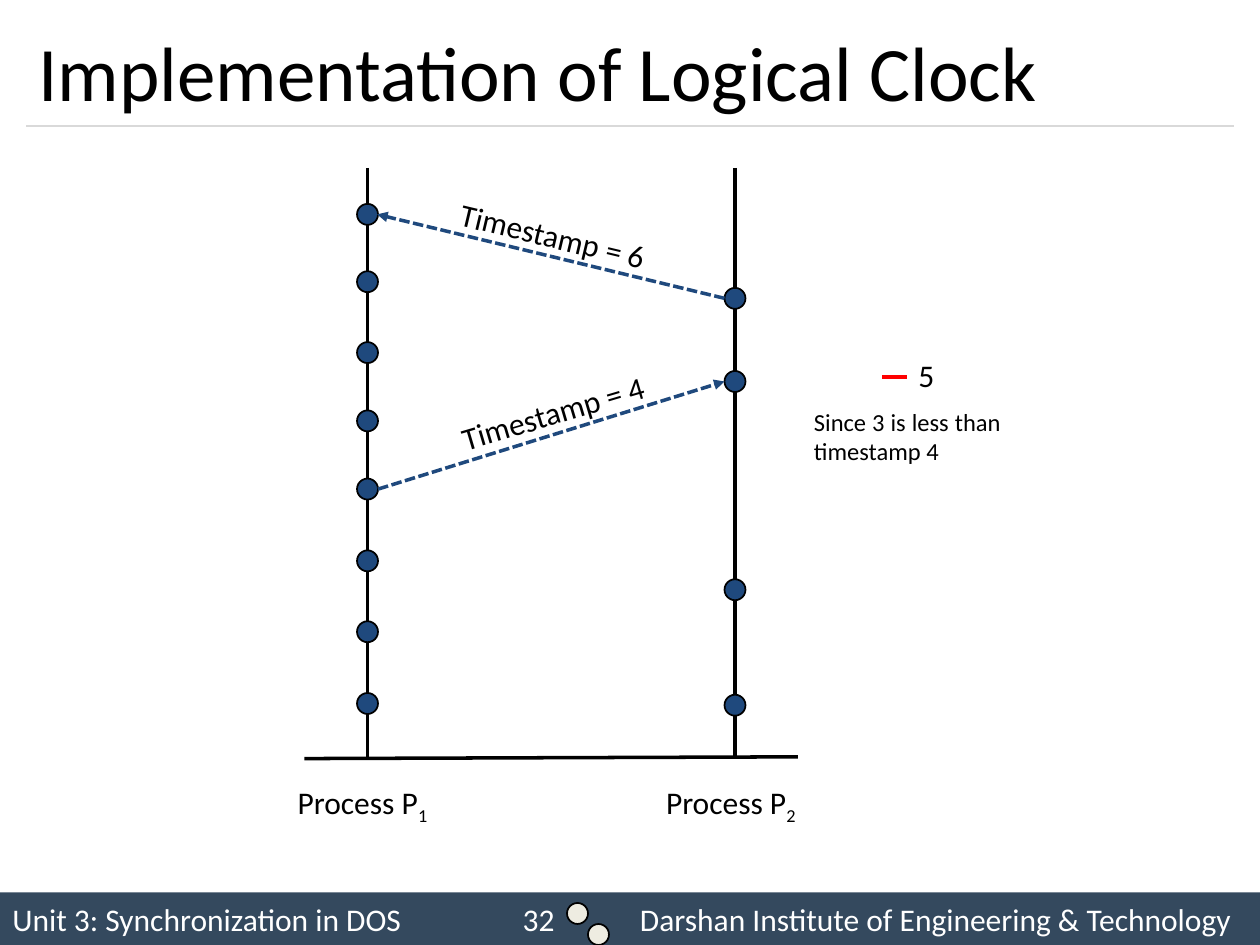
from pptx import Presentation
from pptx.dml.color import RGBColor
from pptx.enum.dml import MSO_LINE
from pptx.enum.shapes import MSO_CONNECTOR, MSO_SHAPE
from pptx.enum.text import MSO_ANCHOR, PP_ALIGN
from pptx.oxml.ns import qn
from pptx.util import Pt
from lxml.etree import SubElement

hue = RGBColor.from_string


def write(box, words, size, color="000000", wrap=True, sub=""):
    frame = box.text_frame
    frame.word_wrap = wrap
    para = frame.paragraphs[0]
    para.text = words
    para.alignment = PP_ALIGN.LEFT
    if sub:
        low = para.add_run()
        low.text = sub
        low.font._element.set("baseline", "-25000")
    for run in para.runs:
        run.font.name = "Calibri"
        run.font.size = Pt(size)
        run.font.color.rgb = hue(color)
    return para


def join(x1, y1, x2, y2, color="000000", width=2, arrow=False):
    line = shapes.add_connector(MSO_CONNECTOR.STRAIGHT, Pt(x1), Pt(y1), Pt(x2), Pt(y2))
    line.line.color.rgb = hue(color)
    line.line.width = Pt(width)
    if arrow:
        line.line.dash_style = MSO_LINE.SQUARE_DOT
        SubElement(line.line._get_or_add_ln(), qn("a:tailEnd"), type="triangle")
    SubElement(line._element.spPr, qn("a:effectLst"))


deck = Presentation()
deck.slide_width = Pt(720)
deck.slide_height = Pt(540)
shapes = deck.slides.add_slide(deck.slide_layouts[6]).shapes

bar = shapes.add_shape(MSO_SHAPE.RECTANGLE, 0, Pt(510), Pt(720), Pt(30))
bar.shadow.inherit = False
bar.fill.solid()
bar.fill.fore_color.rgb = hue("34495E")
bar.line.fill.background()
bar.text_frame.vertical_anchor = MSO_ANCHOR.MIDDLE
foot = write(bar, "Unit 3: Synchronization in DOS\t32\tDarshan Institute of Engineering & Technology", 18, "FFFFFF")
tabs = SubElement(foot._p.get_or_add_pPr(), qn("a:tabLst"))
for stop in (291.6, 358.6):
    SubElement(tabs, qn("a:tab"), pos=str(Pt(stop)), algn="l")

join(15, 72, 705, 72, "D9D9D9", 0.75)
title = shapes.add_textbox(Pt(15), Pt(8.6), Pt(690), Pt(63.4))
title.text_frame.vertical_anchor = MSO_ANCHOR.MIDDLE
write(title, "Implementation of Logical Clock", 44)

for x in (210, 420):
    join(x, 96, x, 433)
join(174, 433.5, 456, 432.5)

blue, cream = "1F497D", "EEECE1"
dots = [(204, y, blue) for y in (116.5, 155, 195.5, 234.5, 273.5, 314.5, 355, 396)]
dots += [(414, y, blue) for y in (164.5, 212, 331, 397)]
dots += [(324, 516, cream), (336, 528, cream)]
for x, y, color in dots:
    dot = shapes.add_shape(MSO_SHAPE.OVAL, Pt(x), Pt(y), Pt(12), Pt(12))
    dot.shadow.inherit = False
    dot.fill.solid()
    dot.fill.fore_color.rgb = hue(color)
    dot.line.color.rgb = hue("000000")
    dot.line.width = Pt(1)

join(216, 279.5, 414, 218, blue, arrow=True)
join(414, 170.5, 215.5, 122.5, blue, arrow=True)
join(504, 215.3, 518.4, 215.3, "FF0000")

note = shapes.add_textbox(Pt(458), Pt(229), Pt(121), Pt(41))
write(note, "Since 3 is less than timestamp 4", 14).alignment = PP_ALIGN.JUSTIFY

labels = [
    ("5", "", 517.7, 200, 18.7, 0),
    ("Process P", "1", 163, 444, 92.5, 0),
    ("Process P", "2", 373.5, 444, 90, 0),
    ("Timestamp = 4", "", 255, 221, 123, 343.4),
    ("Timestamp = 6", "", 255, 120.3, 123, 13.4),
]
for words, sub, x, y, width, turn in labels:
    label = shapes.add_textbox(Pt(x), Pt(y), Pt(width), Pt(29))
    label.rotation = turn
    write(label, words, 18, wrap=False, sub=sub)

deck.save("out.pptx")
